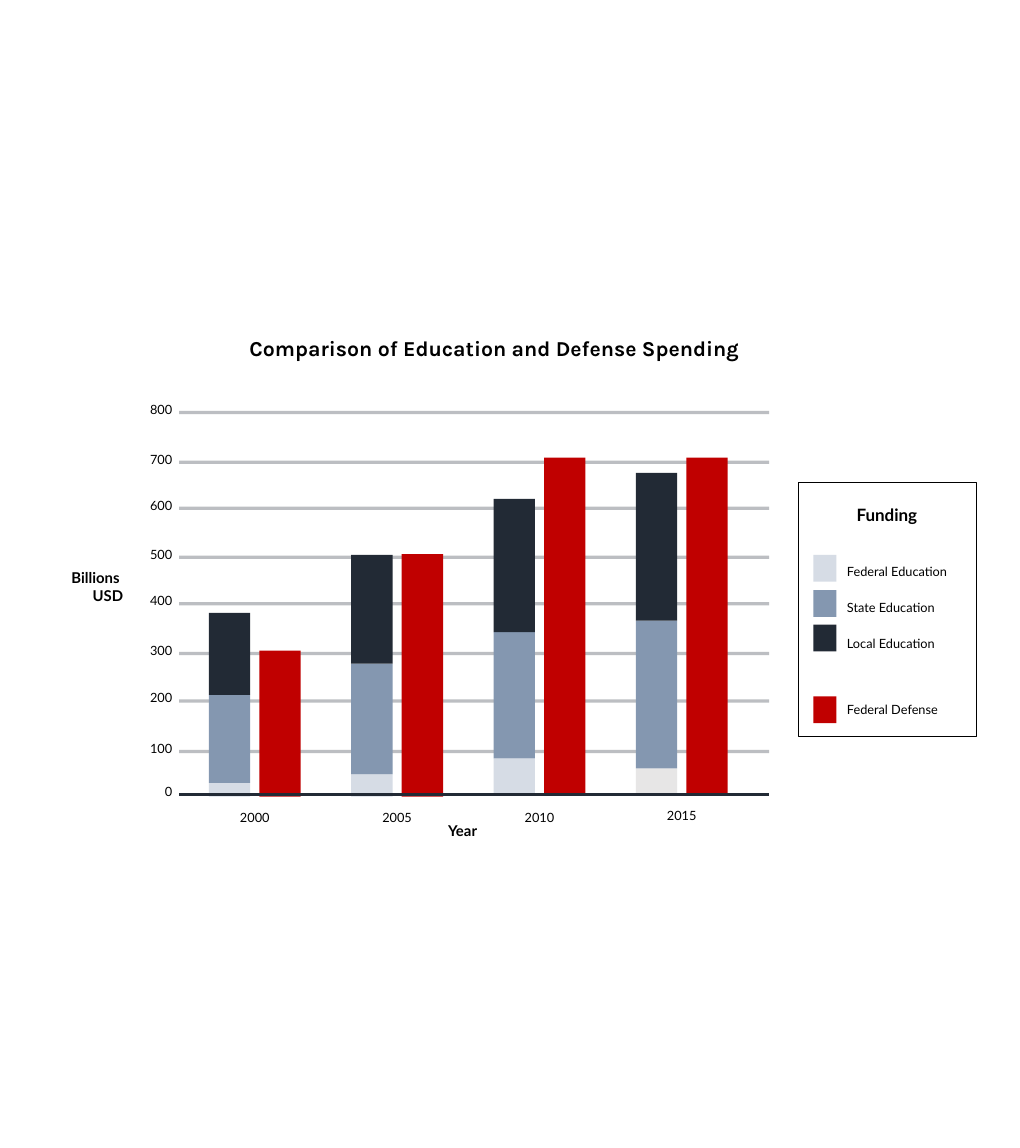
from dataclasses import dataclass

from lxml import etree
from pptx import Presentation
from pptx.dml.color import RGBColor
from pptx.enum.shapes import MSO_CONNECTOR, MSO_SHAPE
from pptx.enum.text import MSO_ANCHOR, MSO_AUTO_SIZE, PP_ALIGN
from pptx.oxml.ns import qn
from pptx.util import Inches, Pt

RECTANGLE, STRAIGHT = MSO_SHAPE.RECTANGLE, MSO_CONNECTOR.STRAIGHT
LEFT, CENTER, RIGHT = PP_ALIGN.LEFT, PP_ALIGN.CENTER, PP_ALIGN.RIGHT
TITLE_ONLY = 5


@dataclass(frozen=True)
class Theme:
    title_font: str = "Karla"
    body_font: str = "Lato"
    title_size: float = 20
    heading_size: float = 16
    axis_size: float = 14
    label_size: float = 12
    text: str = "000000"
    paper: str = "FFFFFF"
    federal: str = "D6DCE5"
    federal_latest: str = "E7E6E6"
    state: str = "8497B0"
    local: str = "222A35"
    defense: str = "C00000"
    axis: str = "222A35"
    grid_opacity: int = 29


THEME = Theme()

# Plot grid, in inches: one column per year, one row per 100 billion
PLOT_LEFT, PLOT_RIGHT, BASELINE = 2.34, 10.05, 10.38
FIRST_BAR, YEAR_PITCH, PAIR_PITCH, BAR_WIDTH = 2.73, 1.86, 0.66, 0.54
ROW_LEVELS = [10.38, 9.82, 9.16, 8.54, 7.89, 7.28, 6.64, 6.04, 5.39]

# Year: foot of the bars, tops of federal, state and local, top of defense
BARS = {
    "2000": (10.41, (10.23, 9.08, 8.01), 8.5),
    "2005": (10.41, (10.12, 8.67, 7.25), 7.24),
    "2010": (10.38, (9.91, 8.26, 6.52), 5.98),
    "2015": (10.38, (10.04, 8.11, 6.18), 5.98),
}

# Legend: text, colour, top of the swatch, top of the text
LEGEND = [
    ("Federal Education", THEME.federal, 7.25, 7.32),
    ("State Education", THEME.state, 7.71, 7.79),
    ("Local Education", THEME.local, 8.16, 8.26),
    ("Federal Defense", THEME.defense, 9.1, 9.12),
]


def rgb(color):
    return RGBColor.from_string(color)


def write(frame, lines, size, font=THEME.body_font, bold=False, align=LEFT):
    frame.word_wrap = True
    for index, line in enumerate(lines):
        paragraph = frame.add_paragraph() if index else frame.paragraphs[0]
        paragraph.alignment = align
        run = paragraph.add_run()
        run.text = line
        run.font.name, run.font.size, run.font.bold = font, Pt(size), bold
        run.font.color.rgb = rgb(THEME.text)


def add_text(slide, box, lines, size=THEME.label_size, **style):
    shape = slide.shapes.add_textbox(*map(Inches, box))
    write(shape.text_frame, lines, size, **style)


def add_rectangle(slide, box, fill, outline=None):
    shape = slide.shapes.add_shape(RECTANGLE, *map(Inches, box))
    shape.shadow.inherit = False
    shape.fill.solid()
    shape.fill.fore_color.rgb = rgb(fill)
    if outline:
        shape.line.color.rgb = rgb(outline)
        shape.line.width = Pt(1)
    else:
        shape.line.fill.background()


def add_rule(slide, y, width, opacity=100):
    line = slide.shapes.add_connector(
        STRAIGHT, Inches(PLOT_LEFT), Inches(y), Inches(PLOT_RIGHT), Inches(y))
    line.line.color.rgb = rgb(THEME.axis)
    line.line.width = Pt(width)
    properties = line._element.spPr
    if opacity < 100:
        color = properties.find(".//" + qn("a:srgbClr"))
        etree.SubElement(color, qn("a:alpha"), val=str(opacity * 1000))
    etree.SubElement(properties, qn("a:effectLst"))


def add_title(slide, text):
    title = slide.shapes.title
    title.left, title.top, title.width, title.height = map(
        Inches, (3.16, 4.33, 6.95, 0.44))
    title.text_frame.auto_size = MSO_AUTO_SIZE.NONE
    title.text_frame.vertical_anchor = MSO_ANCHOR.TOP
    write(title.text_frame, [text], THEME.title_size, THEME.title_font, True)


def add_value_axis(slide):
    for row, level in enumerate(ROW_LEVELS):
        if row:
            add_rule(slide, level, 3, THEME.grid_opacity)
        add_text(slide, (1.51, level - 0.19, 0.84, 0.3), [str(row * 100)],
                 align=RIGHT)
    add_text(slide, (0.58, 7.38, 1.13, 0.57), ["Billions ", "USD"],
             THEME.axis_size, bold=True, align=RIGHT)


def add_bars(slide):
    for column, (year, (foot, tops, defense_top)) in enumerate(BARS.items()):
        left = FIRST_BAR + column * YEAR_PITCH
        is_latest = column == len(BARS) - 1
        federal = THEME.federal_latest if is_latest else THEME.federal
        add_rectangle(slide, (left + PAIR_PITCH, defense_top, BAR_WIDTH,
                              foot - defense_top), THEME.defense)
        bottom = foot
        for top, color in zip(tops, (federal, THEME.state, THEME.local)):
            add_rectangle(slide, (left, top, BAR_WIDTH, bottom - top), color)
            bottom = top
        label_top = 10.51 if is_latest else 10.53
        add_text(slide, (left, label_top, PAIR_PITCH + BAR_WIDTH, 0.3),
                 [year], align=CENTER)


def add_year_axis(slide):
    add_rule(slide, BASELINE, 3.25)
    add_text(slide, (3.94, 10.69, 4.21, 0.34), ["Year"], THEME.axis_size,
             bold=True, align=CENTER)


def add_legend(slide):
    add_rectangle(slide, (10.43, 6.31, 2.33, 3.31), THEME.paper, THEME.text)
    add_text(slide, (10.77, 6.54, 1.64, 0.37), ["Funding"],
             THEME.heading_size, bold=True, align=CENTER)
    for text, color, swatch_top, text_top in LEGEND:
        add_rectangle(slide, (10.63, swatch_top, 0.3, 0.35), color)
        add_text(slide, (10.97, text_top, 1.64, 0.3), [text])


def main():
    presentation = Presentation()
    presentation.slide_width = Inches(13.33)
    presentation.slide_height = Inches(15)
    slide = presentation.slides.add_slide(
        presentation.slide_layouts[TITLE_ONLY])

    add_title(slide, "Comparison of Education and Defense Spending")
    # Grid first, then bars, with the baseline over their feet
    add_value_axis(slide)
    add_bars(slide)
    add_year_axis(slide)
    add_legend(slide)

    presentation.save("out.pptx")


if __name__ == "__main__":
    main()
